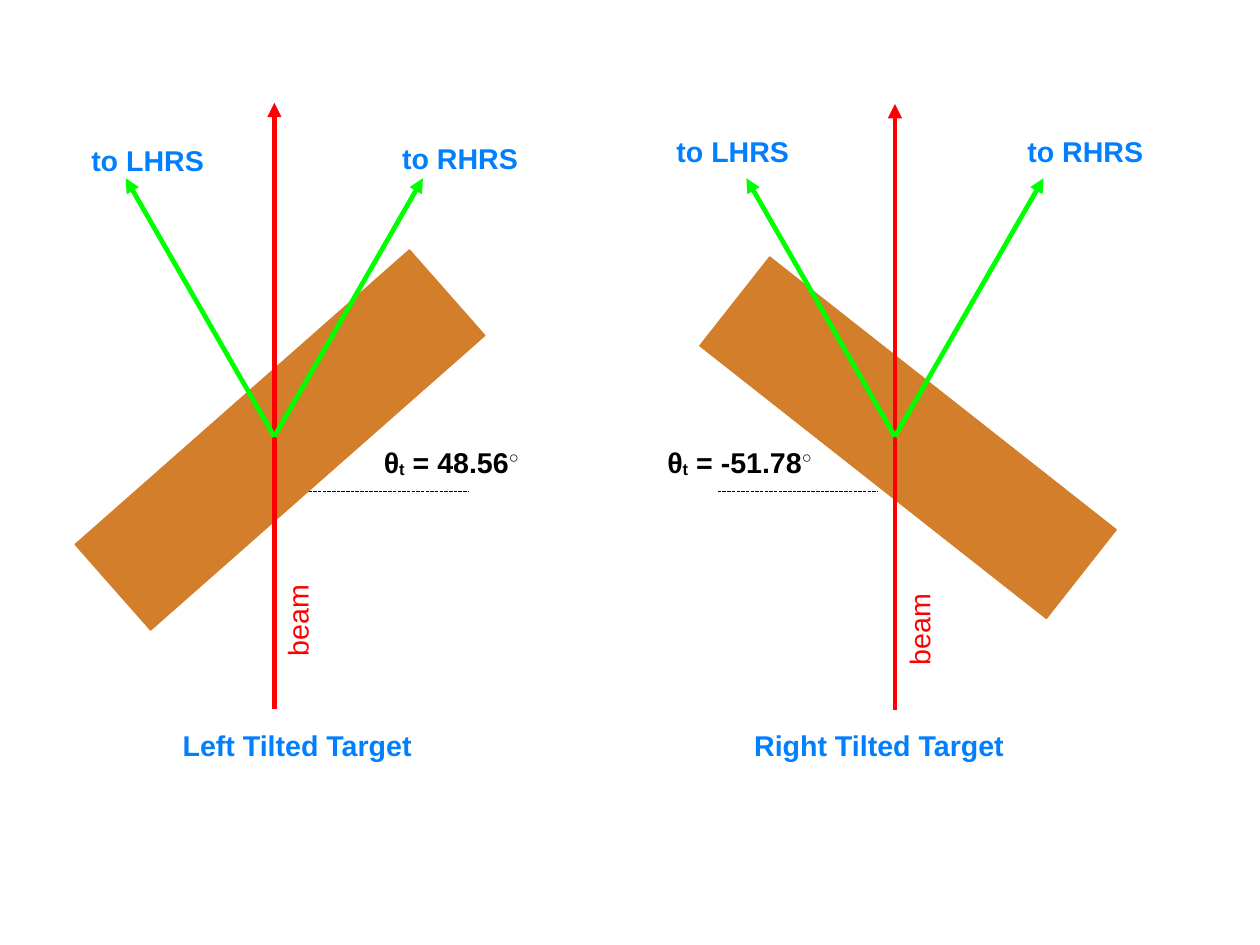
import pptx
import pptx.dml.color
import pptx.enum.dml
import pptx.enum.shapes
import pptx.enum.text
import pptx.oxml
import pptx.oxml.ns
import pptx.util

Inches = pptx.util.Inches
COLORS = {"target": "D27E2B", "beam": "FF0000", "label": "007FFF",
          "angle": "000000", "scattered": "00FF00"}


def rgb(name):
    return pptx.dml.color.RGBColor.from_string(COLORS[name])


def add_text(paragraph, text, color="label", bold=True, size=18, font="Arial", baseline=0):
    run = paragraph.add_run()
    run.text = text
    run.font.name = font
    run.font.size = pptx.util.Pt(size)
    run.font.bold = bold
    run.font.color.rgb = rgb(color)
    if baseline:
        run._r.get_or_add_rPr().set("baseline", str(baseline * 1000))


class Diagram:
    def __init__(self, slide, arrow_width=3, reference_width=0.75):
        self.slide = slide
        self.arrow_width = arrow_width
        self.reference_width = reference_width

    def target(self, left, top, width, height, rotation):
        shape = self.slide.shapes.add_shape(
            pptx.enum.shapes.MSO_SHAPE.RECTANGLE,
            Inches(left), Inches(top), Inches(width), Inches(height))
        shape.rotation = rotation
        shape.shadow.inherit = False
        shape.fill.solid()
        shape.fill.fore_color.rgb = rgb("target")
        shape.line.color.rgb = rgb("target")
        shape.line.width = 0

    def line(self, start, end, color, width):
        connector = self.slide.shapes.add_connector(
            pptx.enum.shapes.MSO_CONNECTOR.STRAIGHT,
            *[Inches(value) for value in (*start, *end)])
        connector.line.color.rgb = rgb(color)
        connector.line.width = pptx.util.Pt(width)
        properties = connector._element.spPr
        properties.append(pptx.oxml.parse_xml(
            f'<a:effectLst {pptx.oxml.ns.nsdecls("a")}/>'))
        return connector

    def arrow(self, start, end, color):
        connector = self.line(start, end, color, self.arrow_width)
        connector.line._get_or_add_ln().append(pptx.oxml.parse_xml(
            f'<a:tailEnd {pptx.oxml.ns.nsdecls("a")} type="triangle"/>'))

    def reference(self, left, top, length):
        connector = self.line((left, top), (left + length, top), "angle", self.reference_width)
        connector.line.dash_style = pptx.enum.dml.MSO_LINE.SQUARE_DOT

    def label(self, left, top, width, *parts, height=0.38, rotation=0, wrap=False, **style):
        shape = self.slide.shapes.add_textbox(
            Inches(left), Inches(top), Inches(width), Inches(height))
        shape.rotation = rotation
        frame = shape.text_frame
        frame.word_wrap = wrap
        frame.auto_size = pptx.enum.text.MSO_AUTO_SIZE.SHAPE_TO_FIT_TEXT
        for text, baseline in parts:
            add_text(frame.paragraphs[0], text, baseline=baseline, **style)

    def setup(self, beam_x, beam_top, target, caption, reference_left, angle,
              left_arm, right_arm, beam_label):
        self.target(*target)
        self.arrow((beam_x, beam_top + 5.3), (beam_x, beam_top), "beam")
        text, left, width = caption
        self.label(left, 6.32, width, (text, 0), wrap=True)
        self.reference(reference_left, 4.3, 1.4)
        value, left, width = angle
        self.label(left, 3.84, width, ("θ", 0), ("t", -8), (f" = {value}", 0), ("○", 33),
                   height=0.47, color="angle")
        for direction in (1, -1):
            self.arrow((beam_x, 3.82), (beam_x + 1.3 * direction, 1.56), "scattered")
        self.label(*left_arm, 1.22, ("to LHRS", 0))
        self.label(*right_arm, 1.25, ("to RHRS", 0))
        self.label(*beam_label, 0.86, ("beam", 0), rotation=270, color="beam", bold=False)


def main():
    presentation = pptx.Presentation()
    presentation.slide_width = Inches(28 / 2.54)
    presentation.slide_height = Inches(21 / 2.54)
    diagram = Diagram(presentation.slides.add_slide(presentation.slide_layouts[6]))
    diagram.setup(beam_x=2.4, beam_top=0.9, target=(1.95, 1.9, 1, 3.9, 48.6),
                  caption=("Left Tilted Target", 1.5, 2.3),
                  reference_left=2.7, angle=("48.56", 3.26, 1.4),
                  left_arm=(0.7, 1.2), right_arm=(3.42, 1.18), beam_label=(2.16, 5.22))
    diagram.setup(beam_x=7.83, beam_top=0.91, target=(7.45, 1.9, 0.99, 3.86, 308.2),
                  caption=("Right Tilted Target", 6.5, 2.4),
                  reference_left=6.28, angle=("-51.78", 5.74, 1.5),
                  left_arm=(5.82, 1.12), right_arm=(8.89, 1.12), beam_label=(7.6, 5.3))
    presentation.save("out.pptx")


if __name__ == "__main__":
    main()
